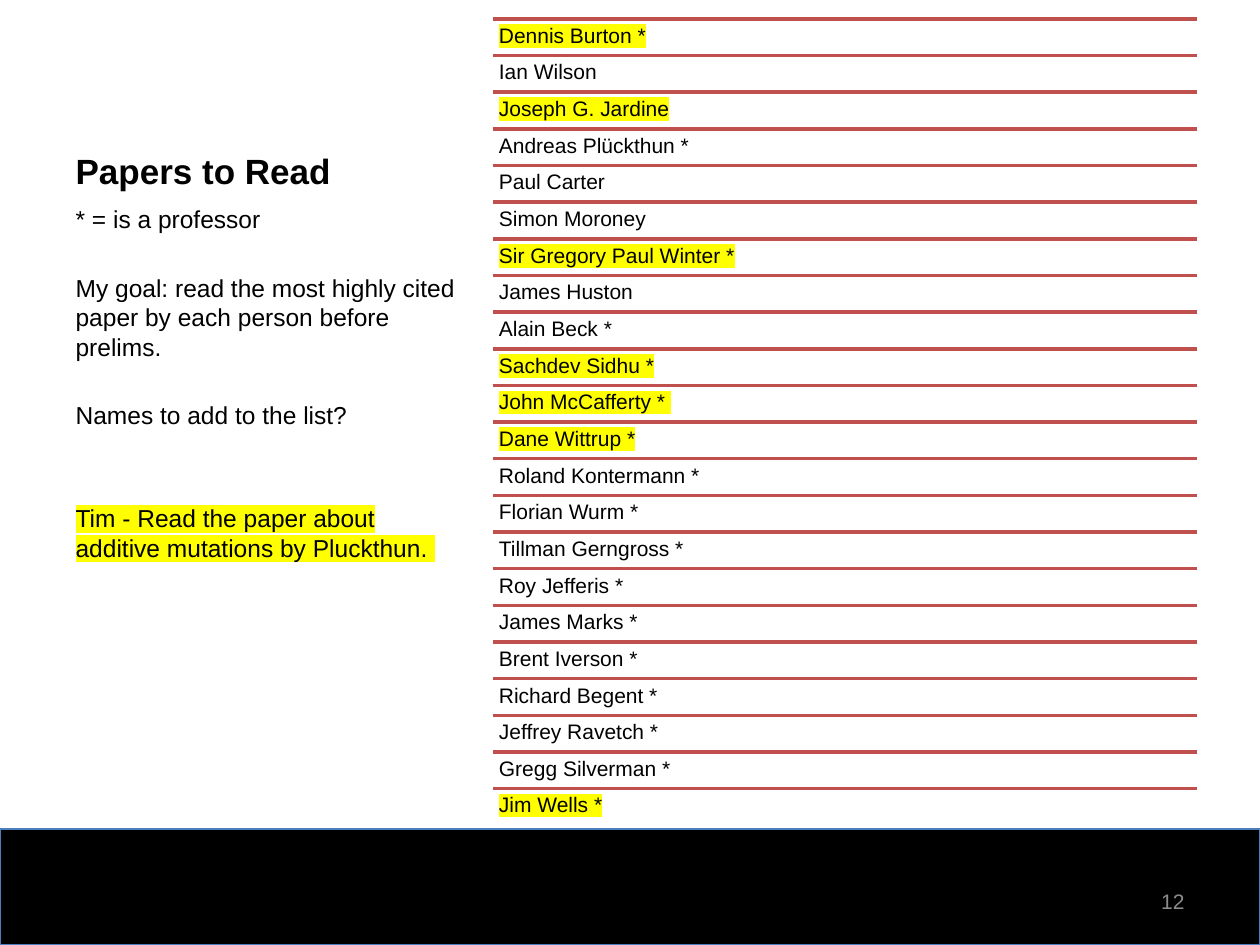
from dataclasses import dataclass
from lxml import etree
from pptx import Presentation, util as u
from pptx.dml.color import RGBColor
from pptx.enum import shapes, text
from pptx.oxml import ns


@dataclass
class Theme:
    font: str = "Arial"
    ink: str = "000000"
    rule: str = "C0504D"
    bar_edge: str = "4B7EBC"
    muted: str = "8C8C8C"
    highlight: str = "FFFF00"
    title: int = 20
    body: int = 14
    small: int = 12


theme = Theme()


def format_text(paragraph, size, color=theme.ink, bold=False, highlighted=False):
    for run in paragraph.runs:
        font = run.font
        font.name, font.size, font.bold = theme.font, u.Pt(size), bold
        font.color.rgb = RGBColor.from_string(color)
        if highlighted:
            fill = font.fill._xPr.find(ns.qn("a:solidFill"))
            mark = etree.Element(ns.qn("a:highlight"))
            etree.SubElement(mark, ns.qn("a:srgbClr"), val=theme.highlight)
            fill.addnext(mark)


def place(shape, left, top, width, height):
    shape.left, shape.top = u.Inches(left), u.Inches(top)
    shape.width, shape.height = u.Inches(width), u.Inches(height)


presentation = Presentation()
presentation.slide_width, presentation.slide_height = u.Inches(10), u.Inches(7.5)
slide = presentation.slides.add_slide(presentation.slide_layouts[7])
title = slide.shapes.title
content, body = slide.placeholders[1], slide.placeholders[2]
content.element.getparent().remove(content.element)

bar = slide.shapes.add_shape(shapes.MSO_SHAPE.RECTANGLE, 0, 0, 0, 0)
place(bar, 0, 6.58, 10, 0.92)
bar.shadow.inherit = False
bar.fill.solid()
bar.fill.fore_color.rgb = RGBColor.from_string(theme.ink)
bar.line.color.rgb = RGBColor.from_string(theme.bar_edge)
bar.line.width = u.Pt(0.75)
title.element.addprevious(bar.element)

place(title, 0.5, 0.3, 3.29, 1.27)
title.text_frame.text = "Papers to Read"
title.text_frame.vertical_anchor = text.MSO_ANCHOR.BOTTOM
format_text(title.text_frame.paragraphs[0], theme.title, bold=True)

notes = [
    ("* = is a professor", 2.8, False),
    ("My goal: read the most highly cited paper by each person before prelims.", 22.4, False),
    ("Names to add to the list? ", 22.4, False),
    ("Tim - Read the paper about additive mutations by Pluckthun. ", 42, True),
]
place(body, 0.5, 1.57, 3.29, 5.13)
body.text_frame.text = "\n".join(note[0] for note in notes)
for paragraph, (_, gap, highlighted) in zip(body.text_frame.paragraphs, notes):
    paragraph.space_before = u.Pt(gap)
    paragraph.line_spacing = u.Pt(16.8)
    format_text(paragraph, theme.body, highlighted=highlighted)

number = slide.shapes.add_textbox(0, 0, 0, 0)
place(number, 7.17, 6.95, 2.33, 0.4)
number.text_frame.word_wrap = True
number.text_frame.vertical_anchor = text.MSO_ANCHOR.MIDDLE
number.text_frame.text = "12"
paragraph = number.text_frame.paragraphs[0]
paragraph.alignment = text.PP_ALIGN.RIGHT
paragraph.space_after = u.Pt(6)
format_text(paragraph, theme.small, theme.muted)

authors = [
    "Dennis Burton *", "Ian Wilson", "Joseph G. Jardine", "Andreas Plückthun *",
    "Paul Carter", "Simon Moroney", "Sir Gregory Paul Winter *", "James Huston",
    "Alain Beck *", "Sachdev Sidhu *", "John McCafferty * ", "Dane Wittrup *",
    "Roland Kontermann *", "Florian Wurm *", "Tillman Gerngross *", "Roy Jefferis *",
    "James Marks *", "Brent Iverson * ", "Richard Begent *", "Jeffrey Ravetch *",
    "Gregg Silverman * ", "Jim Wells *",
]
highlighted_rows = {0, 2, 6, 9, 10, 11, 21}
list_left, list_top, list_width, list_height = 3.91, 0.15, 5.59, 6.4
row_height = list_height / len(authors)
author_list = slide.shapes.add_group_shape()

for row, author in enumerate(authors):
    top = list_top + row * row_height
    rule = author_list.shapes.add_connector(shapes.MSO_CONNECTOR.STRAIGHT, 0, 0, 0, 0)
    place(rule, list_left, top, list_width, 0)
    rule.line.color.rgb = RGBColor.from_string(theme.rule)
    rule.line.width = u.Pt(2)
    etree.SubElement(rule.element.spPr, ns.qn("a:effectLst"))

    label = author_list.shapes.add_textbox(0, 0, 0, 0)
    place(label, list_left, top, list_width, row_height)
    frame = label.text_frame
    frame.word_wrap = True
    frame.margin_left = frame.margin_right = u.Inches(0.05)
    frame.margin_top = frame.margin_bottom = u.Inches(0.05)
    frame.text = author
    frame.paragraphs[0].line_spacing = 0.9
    format_text(frame.paragraphs[0], theme.small, highlighted=row in highlighted_rows)

presentation.save("out.pptx")
